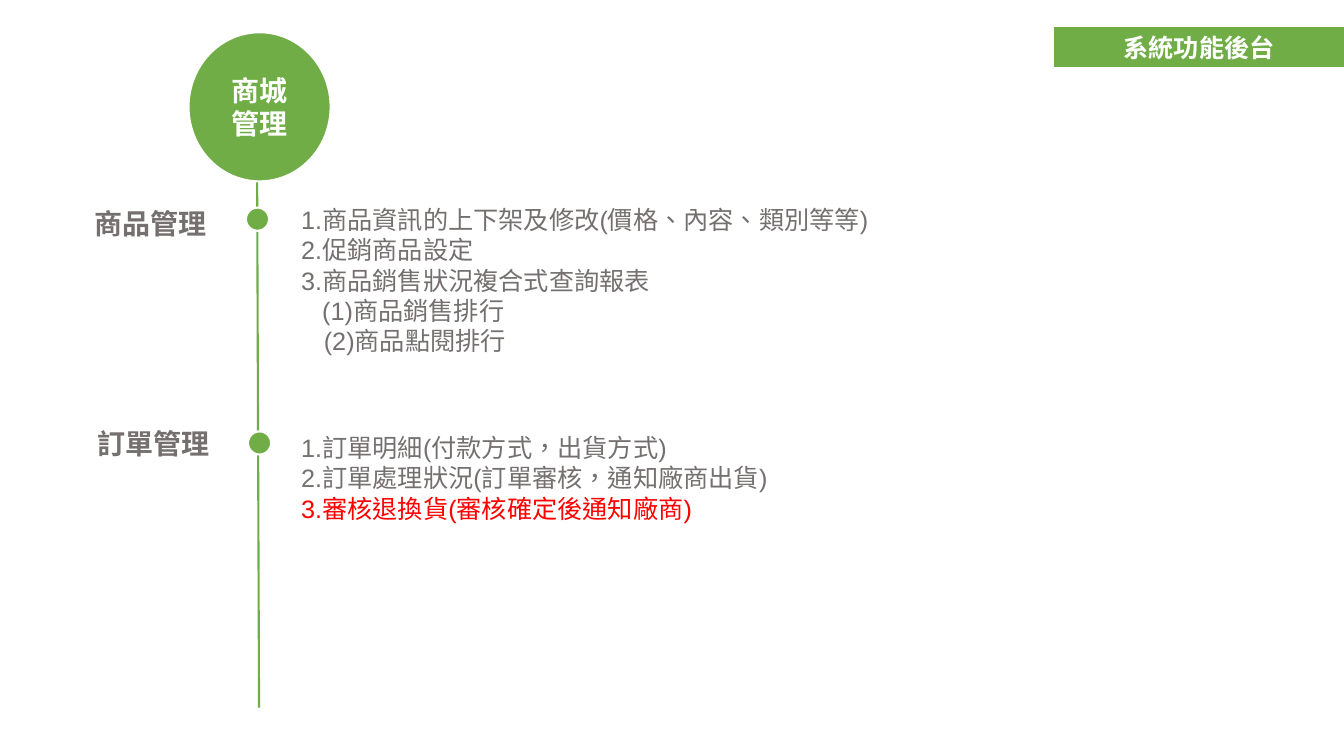
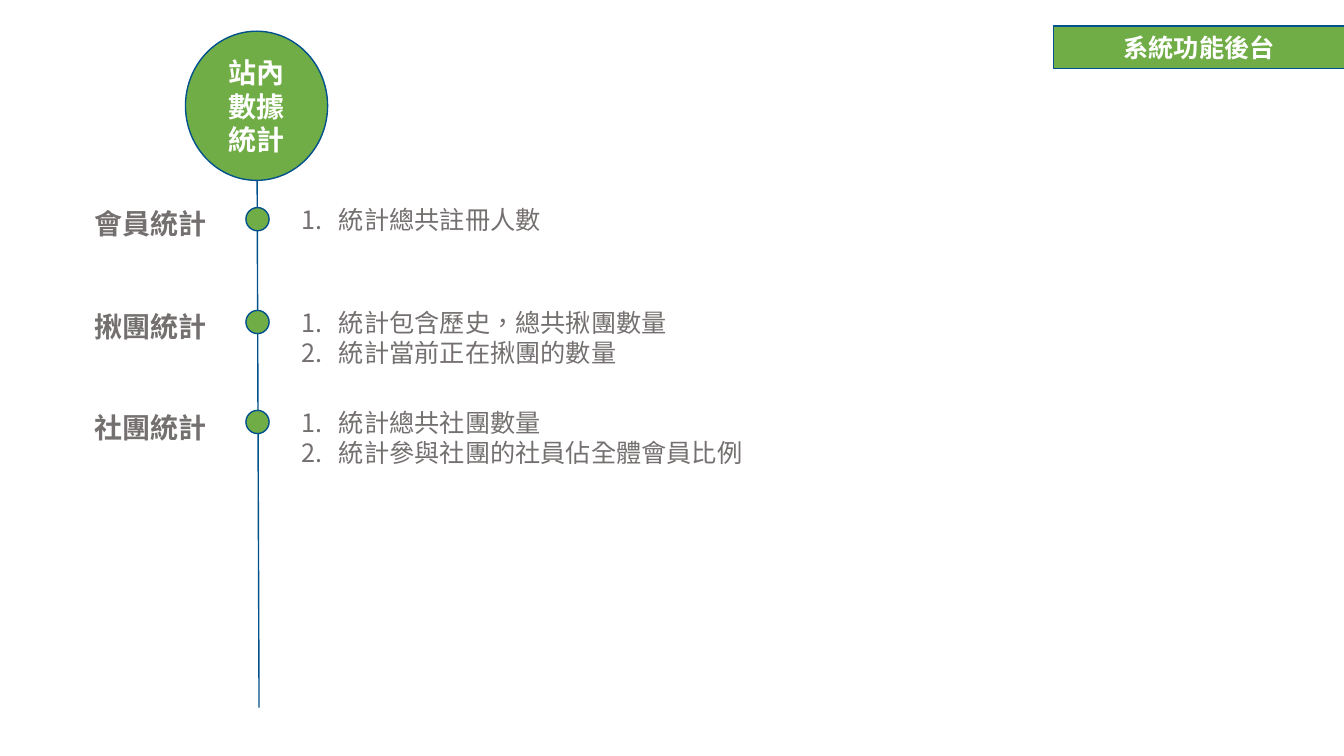
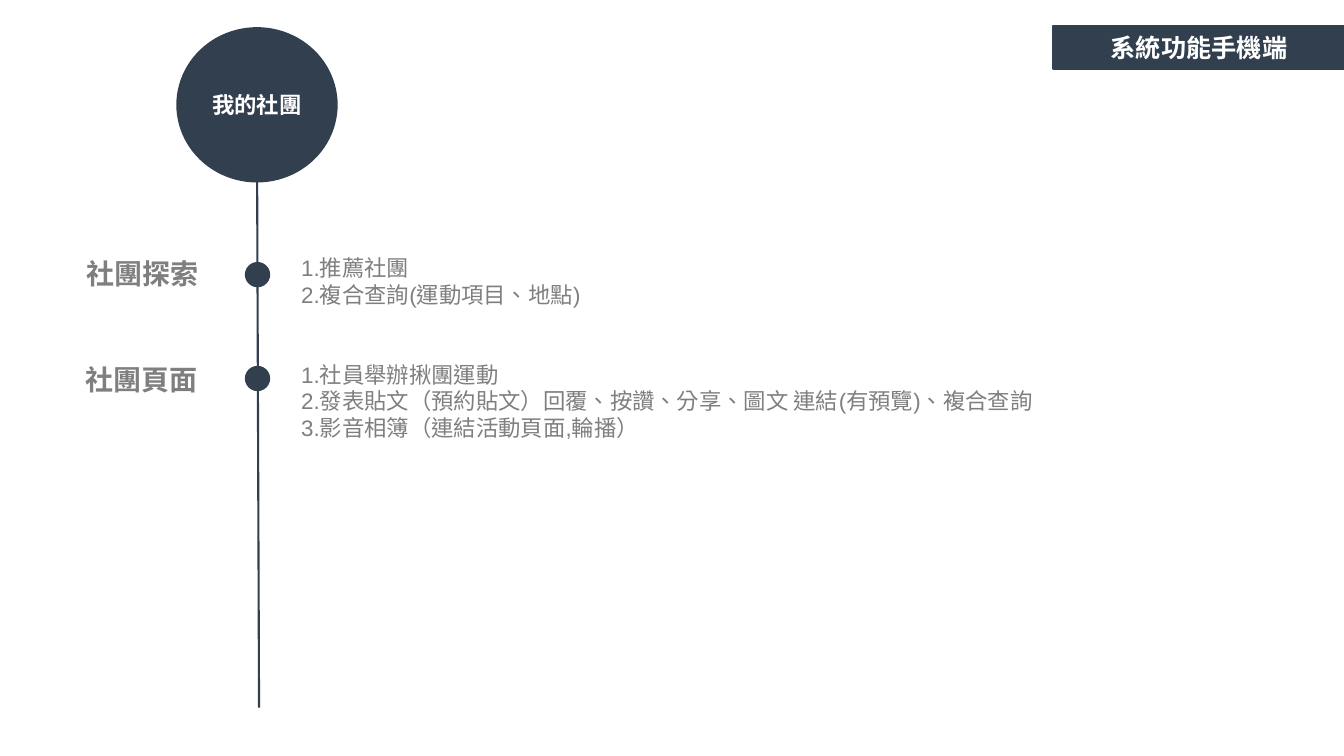
from dataclasses import dataclass

from lxml.etree import SubElement
from pptx import Presentation
from pptx.dml.color import RGBColor
from pptx.enum.lang import MSO_LANGUAGE_ID as Lang
from pptx.enum.shapes import MSO_CONNECTOR as Connector, MSO_SHAPE as Preset
from pptx.enum.text import MSO_ANCHOR as Anchor, PP_ALIGN as Align
from pptx.oxml.ns import qn
from pptx.util import Inches, Pt

WIDTH, HEIGHT = Inches(13.33), Inches(7.5)
COLUMNS, ROWS = 160, 90


@dataclass(frozen=True)
class Theme:
    font: str = "Arial"
    green: str = "70AD47"
    navy: str = "323F4F"
    blue: str = "00518C"
    white: str = "FFFFFF"
    warm_gray: str = "757070"
    gray: str = "7F7F7F"
    red: str = "FF0000"
    heading: int = 20
    body: int = 18
    small: int = 16


THEME = Theme()


@dataclass(frozen=True)
class Look:
    """Colours and type sizes that differ between sections."""
    fill: str
    outline: str
    axis: str
    weight: float
    text: str
    hub_size: int
    body_size: int


@dataclass(frozen=True)
class Box:
    """An area of the page, in grid columns and rows."""
    left: float
    top: float
    width: float
    height: float

    def inner(self, left, top, width, height):
        return Box(self.left + left, self.top + top, width, height)

    def place(self):
        return (across(self.left), down(self.top),
                across(self.width), down(self.height))


@dataclass(frozen=True)
class Item:
    text: str
    color: str = ""
    indent: float = 0
    numbered: bool = False


@dataclass(frozen=True)
class Topic:
    label: str
    items: tuple
    top: float
    label_left: float = 5.88
    dot_middle: float = 2.7
    dot_center: float = 30.66
    body_top: float = 0.36
    body_width: float = 81.24


def across(columns):
    return int(WIDTH * columns / COLUMNS)


def down(rows):
    return int(HEIGHT * rows / ROWS)


def color_of(value):
    return RGBColor.from_string(value)


def write(para, text, *, size, color, bold=False, align=Align.LEFT):
    para.alignment = align
    span = para.add_run()
    span.text = text
    font = span.font
    font.name, font.size, font.bold = THEME.font, Pt(size), bold
    font.color.rgb = color_of(color)
    font.language_id = Lang.TRADITIONAL_CHINESE


def indent_para(para, item, color):
    """Set the left indent and, for numbered items, a hanging number."""
    props = para._p.get_or_add_pPr()
    props.set("marL", str(across(item.indent)))
    if item.numbered:
        props.set("indent", str(-across(item.indent)))
        tint = SubElement(props, qn("a:buClr"))
        SubElement(tint, qn("a:srgbClr")).set("val", color)
        SubElement(props, qn("a:buAutoNum")).set("type", "arabicPeriod")


def add_figure(page, preset, box, look, lines=(), size=0):
    """A filled shape with optional centred bold white lines."""
    shape = page.shapes.add_shape(preset, *box.place())
    shape.shadow.inherit = False
    shape.fill.solid()
    shape.fill.fore_color.rgb = color_of(look.fill)
    shape.line.color.rgb = color_of(look.outline)
    shape.line.width = Pt(look.weight)
    frame = shape.text_frame
    frame.word_wrap = True
    frame.vertical_anchor = Anchor.MIDDLE
    for number, line in enumerate(lines):
        para = frame.add_paragraph() if number else frame.paragraphs[0]
        write(para, line, size=size, color=THEME.white, bold=True,
              align=Align.CENTER)


def add_frame(page, box, anchor=Anchor.TOP):
    frame = page.shapes.add_textbox(*box.place()).text_frame
    frame.word_wrap = True
    frame.vertical_anchor = anchor
    return frame


def add_axis(page, box, look):
    axis = page.shapes.add_connector(
        Connector.STRAIGHT, across(box.left), down(box.top),
        across(box.left + box.width), down(box.top + box.height))
    axis.line.color.rgb = color_of(look.axis)
    axis.line.width = Pt(look.weight)
    SubElement(axis._element.spPr, qn("a:effectLst"))


def add_topic(page, box, topic, look):
    """One row: label, dot on the axis, list of functions."""
    dot = 2.76
    add_figure(page, Preset.OVAL,
               box.inner(topic.dot_center - dot / 2,
                         topic.dot_middle - dot / 2, dot, dot), look)
    label = add_frame(page, box.inner(topic.label_left, 0, 24.12, 6.48),
                      Anchor.MIDDLE)
    write(label.paragraphs[0], topic.label, size=THEME.heading,
          color=look.text, bold=True, align=Align.CENTER)

    height = 1.2 + 3.6 * len(topic.items)
    body = add_frame(page, box.inner(34.68, topic.body_top,
                                     topic.body_width, height))
    for number, item in enumerate(topic.items):
        para = body.add_paragraph() if number else body.paragraphs[0]
        color = item.color or look.text
        if item.indent:
            indent_para(para, item, color)
        write(para, item.text, size=look.body_size, color=color)


def add_section(deck, badge, hub_lines, hub, topics, look):
    page = deck.slides.add_slide(deck.slide_layouts[6])
    # Axis, hub circle and corner badge
    add_axis(page, Box(30.6, 17.64, 0.24, 66.6), look)
    add_figure(page, Preset.OVAL, hub, look, hub_lines, look.hub_size)
    add_figure(page, Preset.RECTANGLE, Box(125.4, 3.12, 34.68, 5.04), look,
               [badge], THEME.body)
    # Topic rows
    for topic in topics:
        add_topic(page, Box(0, topic.top, COLUMNS, 12), topic, look)


def listed(*texts):
    return tuple(Item(text) for text in texts)


def numbered(*texts):
    return tuple(Item(text, indent=4.5, numbered=True) for text in texts)


SHOP_LOOK = Look(THEME.green, THEME.white, THEME.green, 1.5,
                 THEME.warm_gray, THEME.heading, THEME.body)
STATS_LOOK = Look(THEME.green, THEME.blue, THEME.blue, 1,
                  THEME.warm_gray, THEME.heading, THEME.body)
CLUB_LOOK = Look(THEME.navy, THEME.navy, THEME.navy, 1.5,
                 THEME.gray, THEME.small, THEME.small)

SHOP_TOPICS = (
    Topic("商品管理",
          listed("1.商品資訊的上下架及修改(價格、內容、類別等等)",
                 "2.促銷商品設定",
                 "3.商品銷售狀況複合式查詢報表")
          + (Item("(1)商品銷售排行", indent=2.5),
             Item("(2)商品點閱排行", indent=2.7)),
          top=23.4),
    Topic("訂單管理",
          listed("1.訂單明細(付款方式，出貨方式)",
                 "2.訂單處理狀況(訂單審核，通知廠商出貨)")
          + (Item("3.審核退換貨(審核確定後通知廠商)", color=THEME.red),),
          top=49.56, label_left=6.2, dot_middle=3.18, dot_center=30.9,
          body_top=1.32, body_width=80.04),
)
STATS_TOPICS = (
    Topic("會員統計", numbered("統計總共註冊人數"), top=23.4),
    Topic("揪團統計",
          numbered("統計包含歷史，總共揪團數量", "統計當前正在揪團的數量"),
          top=35.64),
    Topic("社團統計",
          numbered("統計總共社團數量", "統計參與社團的社員佔全體會員比例"),
          top=47.64, dot_middle=2.6, body_top=0.24),
)
CLUB_TOPICS = (
    Topic("社團探索",
          listed("1.推薦社團", "2.複合查詢(運動項目、地點)"),
          top=29.28, label_left=4.92, dot_middle=3.42, body_width=36),
    Topic("社團頁面",
          listed("1.社員舉辦揪團運動",
                 "2.發表貼文（預約貼文）回覆、按讚、分享、圖文 連結(有預覽)、複合查詢",
                 "3.影音相簿（連結活動頁面,輪播）"),
          top=41.88, label_left=4.85, dot_middle=3.18, body_top=0.48,
          body_width=100.92),
)


def main():
    deck = Presentation()
    deck.slide_width, deck.slide_height = WIDTH, HEIGHT
    add_section(deck, "系統功能後台", ["商城管理"],
                Box(22.44, 3.84, 16.92, 17.76), SHOP_TOPICS, SHOP_LOOK)
    add_section(deck, "系統功能後台", ["站內", "數據統計"],
                Box(22.08, 3.72, 16.92, 17.76), STATS_TOPICS, STATS_LOOK)
    add_section(deck, "系統功能手機端", ["我的社團"],
                Box(21.12, 3.36, 18.96, 18.24), CLUB_TOPICS, CLUB_LOOK)
    deck.save("out.pptx")


if __name__ == "__main__":
    main()
